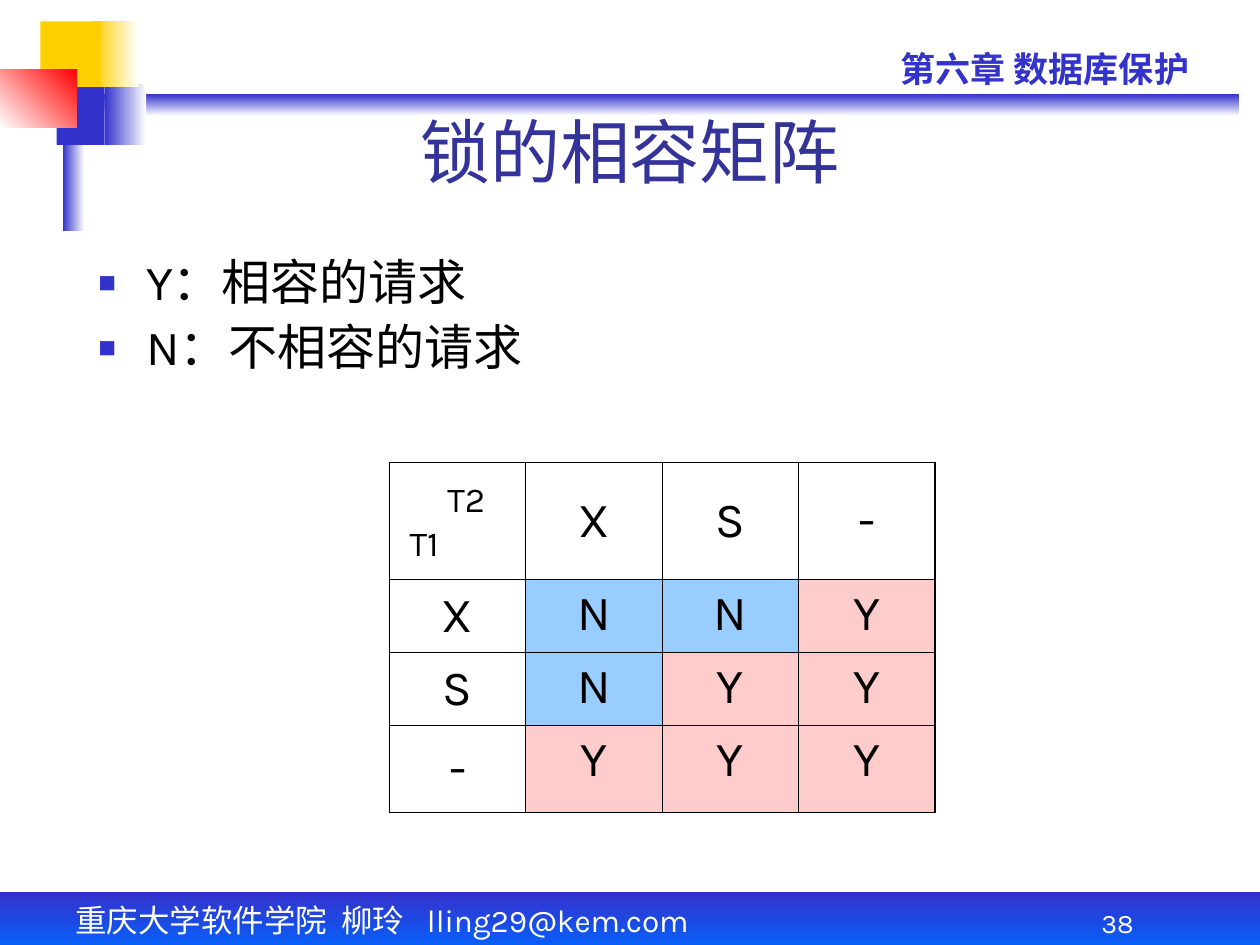
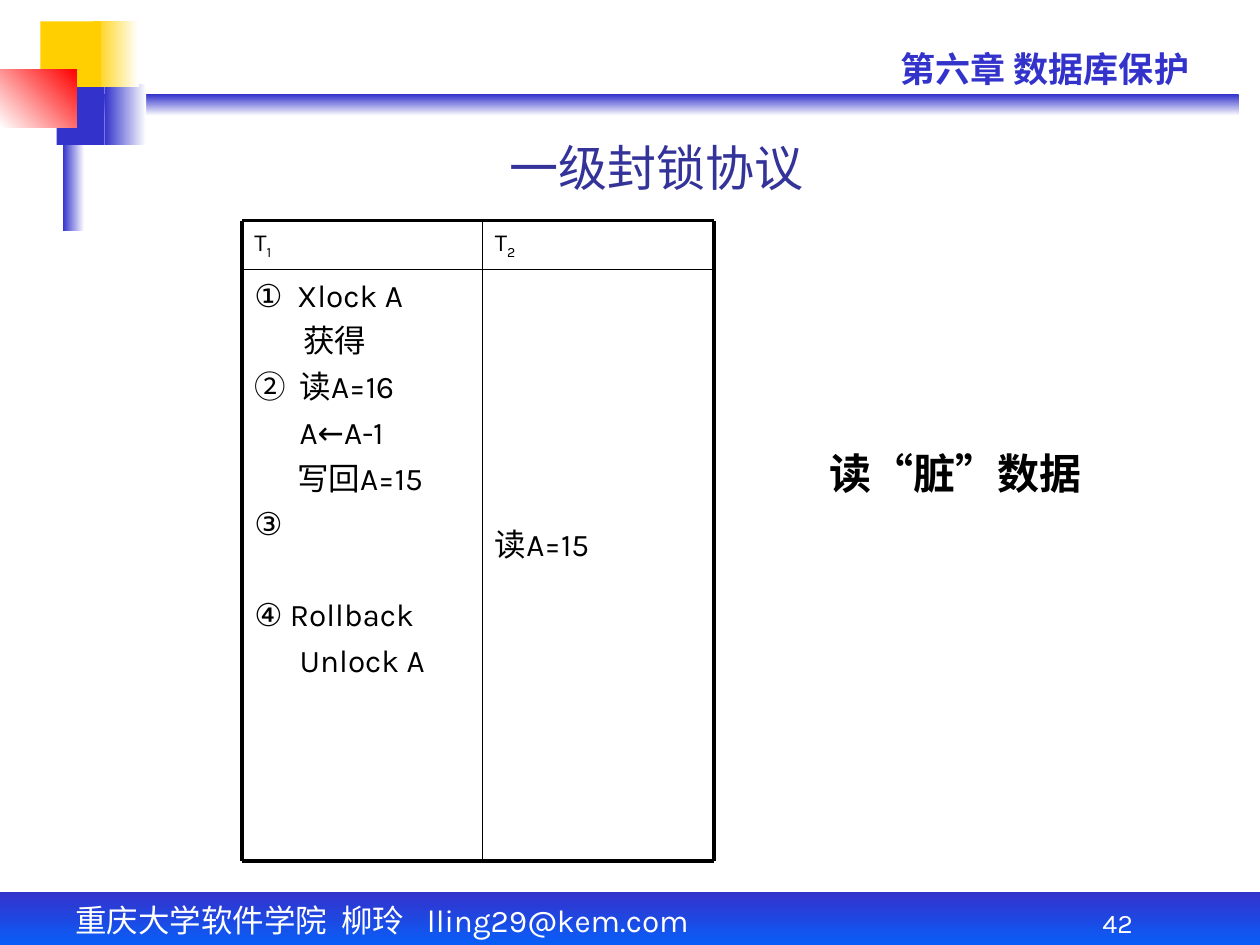
from lxml.etree import SubElement
from pptx import Presentation
from pptx.dml.color import RGBColor
from pptx.enum.shapes import MSO_CONNECTOR, MSO_SHAPE
from pptx.enum.text import MSO_ANCHOR, MSO_AUTO_SIZE, PP_ALIGN
from pptx.oxml.ns import qn
from pptx.util import Inches, Pt

THEME = {
    "font": "Karla", "callout_font": "Arial",
    "blue": "3333CC", "title": "333399", "azure": "0066FF", "gold": "FFCF01",
    "red": "FF0000", "white": "FFFFFF", "black": "000000",
    "denied": "99CCFF", "granted": "FFCCCC",
    "title_size": 40, "large": 28, "callout": 24, "medium": 20,
    "normal": 18, "page": 15.3, "small": 14,
}


def write(frame, text, size, color="black", font="font", bold=False,
          left=0, hanging=0, bullet=None, **settings):
    """Add one formatted paragraph, filling the empty first one before adding more."""
    first = frame.paragraphs[0]
    paragraph = frame.add_paragraph() if first.runs else first
    if not first.runs:
        settings["space_before"] = Pt(0)
    properties = paragraph._p.get_or_add_pPr()
    properties.set("marL", str(Inches(left)))
    properties.set("indent", str(Inches(-hanging)))
    if bullet:
        bullet_color = SubElement(properties, qn("a:buClr"))
        SubElement(bullet_color, qn("a:srgbClr"), val=THEME["blue"])
        SubElement(properties, qn("a:buSzPct"), val="60000")
        SubElement(properties, qn("a:buChar"), char=bullet)
    for name, value in settings.items():
        setattr(paragraph, name, value)
    run = paragraph.add_run()
    run.text = text
    look = {"name": THEME[font], "size": Pt(THEME[size]), "bold": bold}
    for name, value in look.items():
        setattr(run.font, name, value)
    run.font.color.rgb = RGBColor.from_string(THEME[color])
    return paragraph


def place(shape, box, **settings):
    """Move a text shape and set up its frame."""
    for name, value in zip(("left", "top", "width", "height"), box):
        setattr(shape, name, Inches(value))
    frame = shape.text_frame
    settings = {"word_wrap": True, "auto_size": MSO_AUTO_SIZE.NONE,
                "vertical_anchor": MSO_ANCHOR.TOP, **settings}
    for name, value in settings.items():
        setattr(frame, name, value)
    return frame


presentation = Presentation()
presentation.slide_width, presentation.slide_height = Inches(10), Inches(7.5)

# Shared decoration: box, first colour, second colour, clockwise gradient angle
decorations = [
    ((0.58, 0.75, 9.25, 0.17), "blue", "white", 90),
    ((0.83, 0.67, 0.33, 0.48), "blue", "white", 0),
    ((0, 7.08, 10, 0.5), "blue", "azure", 90),
    ((0.5, 0.58, 0.17, 1.25), "blue", "white", 0),
    ((0.45, 0.67, 0.38, 0.48), "blue", None, 0),
    ((0.74, 0.17, 0.36, 0.52), "gold", "white", 0),
    ((0.32, 0.17, 0.48, 0.52), "gold", None, 0),
    ((0, 0.55, 0.61, 0.46), "white", "red", 315),
]

# Shared footer: left, width, text
footer_parts = [
    (0.5, 2.25, "重庆大学软件学院"),
    (2.61, 0.75, "柳玲"),
    (3.29, 2.79, "lling29@kem.com"),
]

# Layout number, title, title box, title size, page number
pages = [
    (1, "锁的相容矩阵", (0.75, 1.08, 8.5, 0.5), "title_size", "38"),
    (5, "一级封锁协议", (1.25, 1.17, 7.92, 0.44), "large", "42"),
]
slides = []
for layout, title, title_box, title_size, page_number in pages:
    slide = presentation.slides.add_slide(presentation.slide_layouts[layout])
    slides.append(slide)

    # Coloured squares and bands
    for box, start, end, angle in decorations:
        shape = slide.shapes.add_shape(MSO_SHAPE.RECTANGLE, *map(Inches, box))
        shape.shadow.inherit = False
        shape.line.fill.background()
        if end:
            shape.fill.gradient()
            shape.fill.gradient_angle = (360 - angle) % 360
            for stop, color, position in zip(shape.fill.gradient_stops, (start, end), (0, 1)):
                stop.color.rgb = RGBColor.from_string(THEME[color])
                stop.position = position
        else:
            shape.fill.solid()
            shape.fill.fore_color.rgb = RGBColor.from_string(THEME[start])

    # Footer, chapter name, page number
    for left, width, text in footer_parts:
        footer = place(slide.shapes.add_textbox(0, 0, 0, 0), (left, 7.1, width, 0.4))
        write(footer, text, "normal", "white")
    chapter = place(slide.shapes.add_textbox(0, 0, 0, 0), (7.05, 0.33, 2.79, 0.44))
    write(chapter, "第六章 数据库保护", "medium", "blue", bold=True)
    number = place(slide.shapes.add_textbox(0, 0, 0, 0), (8.08, 7.08, 1.58, 0.42),
                   vertical_anchor=MSO_ANCHOR.BOTTOM)
    write(number, page_number, "page", "white", alignment=PP_ALIGN.CENTER)

    # Title
    heading = place(slide.shapes.title, title_box, vertical_anchor=MSO_ANCHOR.BOTTOM)
    write(heading, title, title_size, "title", alignment=PP_ALIGN.CENTER)

matrix_slide, protocol_slide = slides

# Legend of the matrix
legend = place(matrix_slide.placeholders[1], (0.68, 2, 8.87, 1.08))
for line in ("Y：相容的请求", "N：不相容的请求"):
    write(legend, line, "large", left=0.38, hanging=0.38, bullet="■",
          line_spacing=0.9, space_before=Pt(7))

# Compatibility matrix
matrix = [
    ["", "X", "S", "-"],
    ["X", "N", "N", "Y"],
    ["S", "N", "Y", "Y"],
    ["-", "Y", "Y", "Y"],
]
row_heights = [0.93, 0.58, 0.58, 0.69]
last = len(matrix) - 1
table = matrix_slide.shapes.add_table(
    4, 4, Inches(3.09), Inches(3.67), Inches(4.33), Inches(2.78)).table
table.first_row = table.horz_banding = False
for column in table.columns:
    column.width = Inches(4.33 / 4)
for row, height in zip(table.rows, row_heights):
    row.height = Inches(height)
for i, values in enumerate(matrix):
    for j, value in enumerate(values):
        cell = table.cell(i, j)
        if i == j == 0:
            cell.margin_top = Inches(0.14)
            write(cell.text_frame, "T2", "medium", left=0.36)
            write(cell.text_frame, "T1", "medium", left=0.06, space_before=Pt(2))
        else:
            write(cell.text_frame, value, "large", alignment=PP_ALIGN.CENTER)
            is_header = i == 0 or j == 0
            cell.vertical_anchor = MSO_ANCHOR.MIDDLE if is_header else MSO_ANCHOR.TOP
        cell_properties = cell._tc.get_or_add_tcPr()
        outer_edges = {"a:lnL": j == 0, "a:lnR": j == last, "a:lnT": i == 0, "a:lnB": i == last}
        for edge, is_outer in outer_edges.items():
            border = SubElement(cell_properties, qn(edge), w=str(Pt(1.08 if is_outer else 0.45)))
            border_fill = SubElement(border, qn("a:solidFill"))
            SubElement(border_fill, qn("a:srgbClr"), val=THEME["black"])
        if i and j:
            cell.fill.solid()
            cell.fill.fore_color.rgb = RGBColor.from_string(
                THEME["denied" if value == "N" else "granted"])
        else:
            cell.fill.background()

# Schedule of the two transactions: column headings
column_edges = [1.92, 3.83, 5.67]
row_edges = [1.75, 2.14, 6.83]
for index, left in enumerate(column_edges[:2], start=1):
    width = column_edges[index] - left
    header = place(protocol_slide.shapes.add_textbox(0, 0, 0, 0), (left, 1.75, width, 0.39))
    paragraph = write(header, "T", "small")
    subscript = paragraph.add_run()
    subscript.text = str(index)
    subscript.font.name, subscript.font.size = THEME["font"], Pt(THEME["small"])
    subscript.font.color.rgb = RGBColor.from_string(THEME["black"])
    subscript.font._element.set("baseline", "-25000")

# Steps of each transaction: text, left indent, hanging indent, space before
steps = [
    ("①\tXlock A", 0.34, 0.34, 4.5),
    ("获得", 0.39, 0, 4.5),
    ("②\t读A=16", 0.36, 0.36, 4.5),
    ("A←A-1", 0.36, 0, 4.5),
    ("写回A=15", 0.34, 0, 4.5),
    ("③", 0.36, 0.36, 4.5),
    ("④ Rollback", 0.36, 0.36, 30.5),
    ("Unlock A", 0.36, 0, 4.5),
]
first_steps = place(protocol_slide.shapes.add_textbox(0, 0, 0, 0), (1.92, 2.14, 1.92, 4.7))
for text, left, hanging, space in steps:
    write(first_steps, text, "normal", left=left, hanging=hanging, space_before=Pt(space))
second_steps = place(protocol_slide.shapes.add_textbox(0, 0, 0, 0), (3.83, 2.14, 1.83, 4.7),
                     margin_top=Inches(2.03))
write(second_steps, "读A=15", "normal")

# Rules of the schedule: heavy frame, thin inner lines
rules = [(column_edges[0], y, column_edges[-1], y, y == row_edges[1]) for y in row_edges]
rules += [(x, row_edges[0], x, row_edges[-1], x == column_edges[1]) for x in column_edges]
for *ends, is_inner in rules:
    rule = protocol_slide.shapes.add_connector(MSO_CONNECTOR.STRAIGHT, *map(Inches, ends))
    rule.line.width = Pt(1 if is_inner else 2.25)
    rule.line.color.rgb = RGBColor.from_string(THEME["black"])
    SubElement(rule._element.spPr, qn("a:effectLst"))

# Callout
callout = place(protocol_slide.shapes.add_textbox(0, 0, 0, 0), (6.17, 3.42, 2.83, 0.67),
                vertical_anchor=MSO_ANCHOR.MIDDLE, word_wrap=False)
write(callout, "读“脏”数据", "callout", font="callout_font", bold=True,
      alignment=PP_ALIGN.CENTER)

presentation.save("out.pptx")
